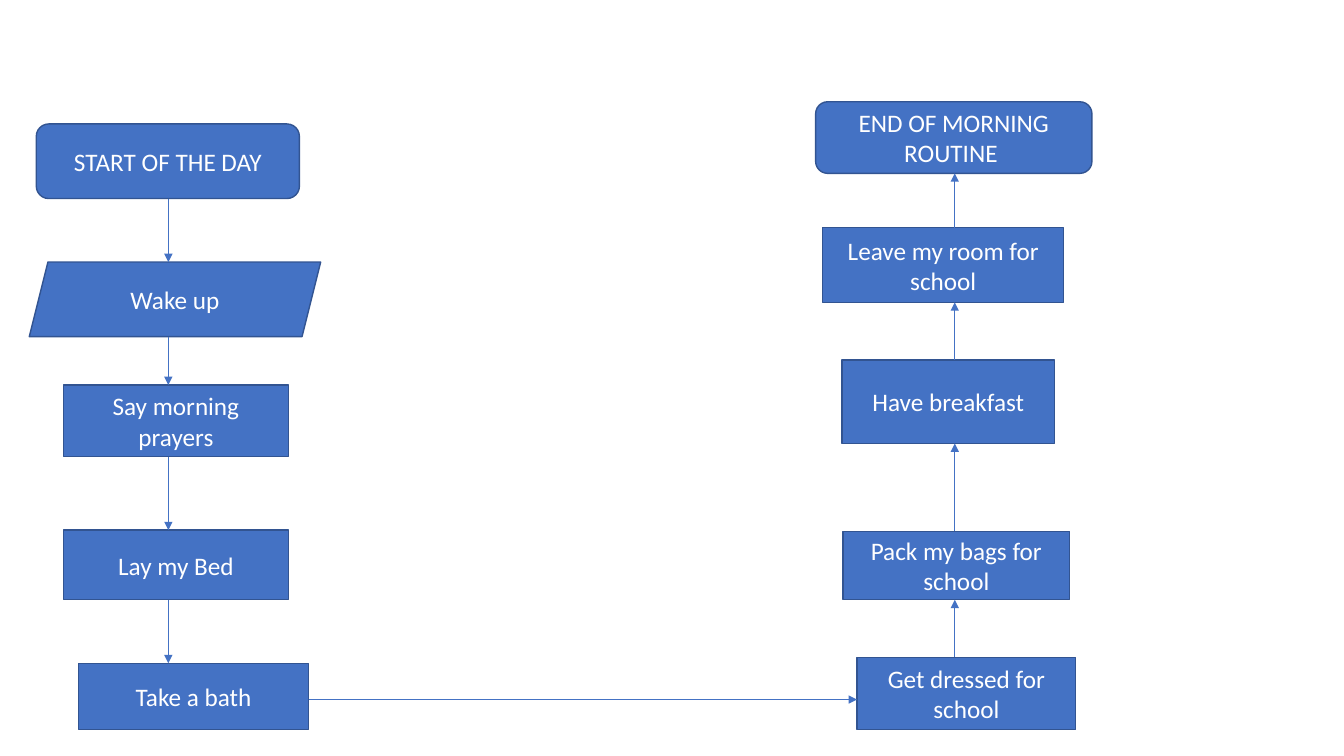
from itertools import pairwise

from lxml import etree
from pptx import Presentation
from pptx import util as u
from pptx.dml.color import RGBColor
from pptx.enum import shapes, text
from pptx.oxml.ns import qn

BLUE, OUTLINE, WHITE = "4472C4", "325491", "FFFFFF"


def color(value):
    return RGBColor.from_string(value)


prs = Presentation()
prs.slide_width, prs.slide_height = u.Inches(13.33), u.Inches(7.5)
s = prs.slides.add_slide(prs.slide_layouts[6])

# Routine steps in order: label, shape, left, top, width, height
ROUND = shapes.MSO_SHAPE.ROUNDED_RECTANGLE
SLANT = shapes.MSO_SHAPE.PARALLELOGRAM
RECT = shapes.MSO_SHAPE.RECTANGLE
morning = [
    ("START OF THE DAY", ROUND, 0.36, 1.23, 2.61, 0.74),
    ("Wake up", SLANT, 0.29, 2.6, 2.89, 0.74),
    ("Say morning prayers", RECT, 0.63, 3.82, 2.23, 0.71),
    ("Lay my Bed", RECT, 0.63, 5.26, 2.23, 0.69),
    ("Take a bath", RECT, 0.78, 6.58, 2.28, 0.66),
]
leaving = [
    ("Get dressed for school", RECT, 8.5, 6.52, 2.17, 0.72),
    ("Pack my bags for school", RECT, 8.36, 5.27, 2.25, 0.68),
    ("Have breakfast", RECT, 8.35, 3.57, 2.11, 0.83),
    ("Leave my room for school", RECT, 8.16, 2.26, 2.39, 0.74),
    ("END OF MORNING ROUTINE\u00a0", ROUND, 8.09, 1.01, 2.74, 0.71),
]
for label, kind, *box in morning + leaving:
    sp = s.shapes.add_shape(kind, *map(u.Inches, box))
    sp.shadow.inherit = False
    sp.fill.solid()
    sp.fill.fore_color.rgb = color(BLUE)
    sp.line.color.rgb = color(OUTLINE)
    sp.line.width = u.Pt(1)
    tf = sp.text_frame
    tf.word_wrap = True
    tf.vertical_anchor = text.MSO_ANCHOR.MIDDLE
    p = tf.paragraphs[0]
    p.alignment = text.PP_ALIGN.CENTER
    r = p.add_run()
    r.text = label
    r.font.name = "Calibri"
    r.font.size = u.Pt(18)
    r.font.color.rgb = color(WHITE)

# Arrows run edge to edge: start x, start y, end x, end y
DOWN_X, UP_X, ACROSS_Y = 1.67, 9.47, 6.94
arrows = []
for (*_, top, _, height), (*_, next_top, _, _) in pairwise(morning):
    arrows.append((DOWN_X, top + height, DOWN_X, next_top))
_, _, bath_left, _, bath_width, _ = morning[-1]
arrows.append((bath_left + bath_width, ACROSS_Y, leaving[0][2], ACROSS_Y))
for (*_, top, _, _), (*_, next_top, _, next_height) in pairwise(leaving):
    arrows.append((UP_X, top, UP_X, next_top + next_height))

for ends in arrows:
    arrow = s.shapes.add_connector(shapes.MSO_CONNECTOR.STRAIGHT, *map(u.Inches, ends))
    arrow.line.color.rgb = color(BLUE)
    arrow.line.width = u.Pt(0.5)
    etree.SubElement(arrow.line._get_or_add_ln(), qn("a:tailEnd"), type="triangle")
    etree.SubElement(arrow._element.spPr, qn("a:effectLst"))

prs.save("out.pptx")
